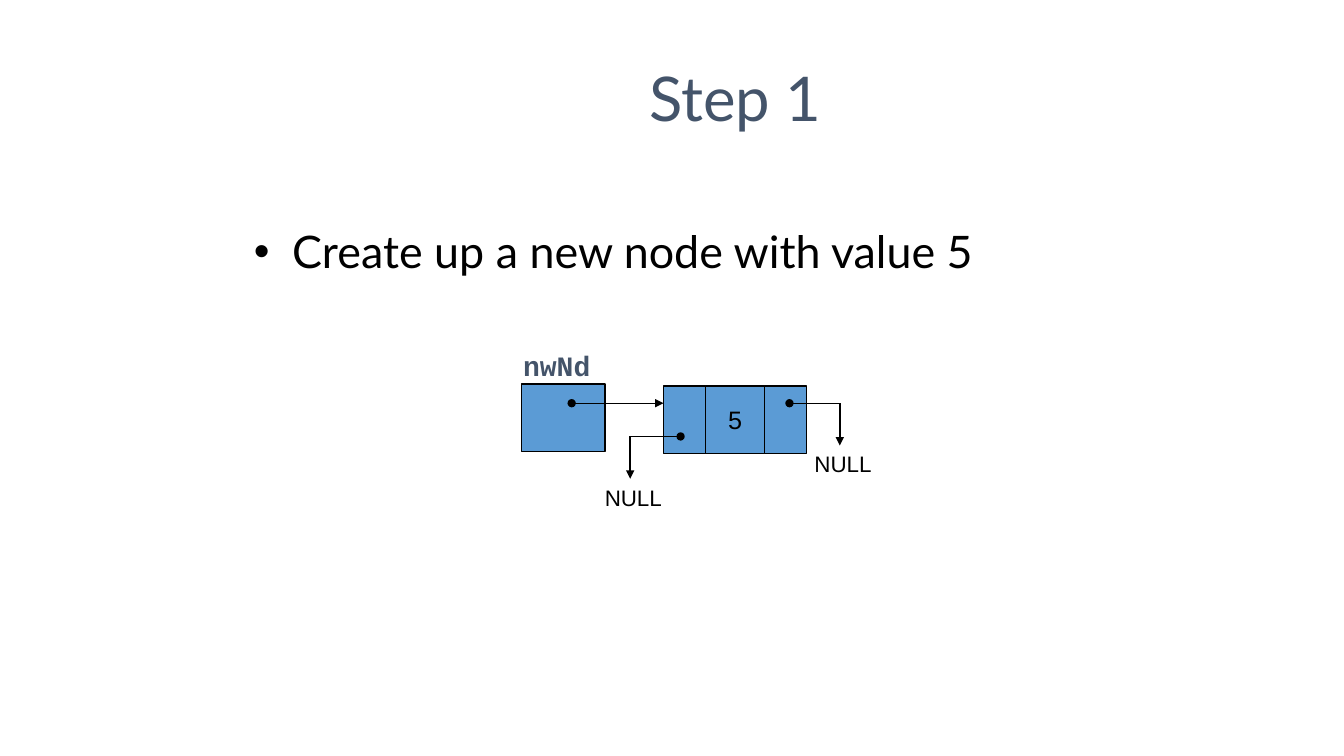
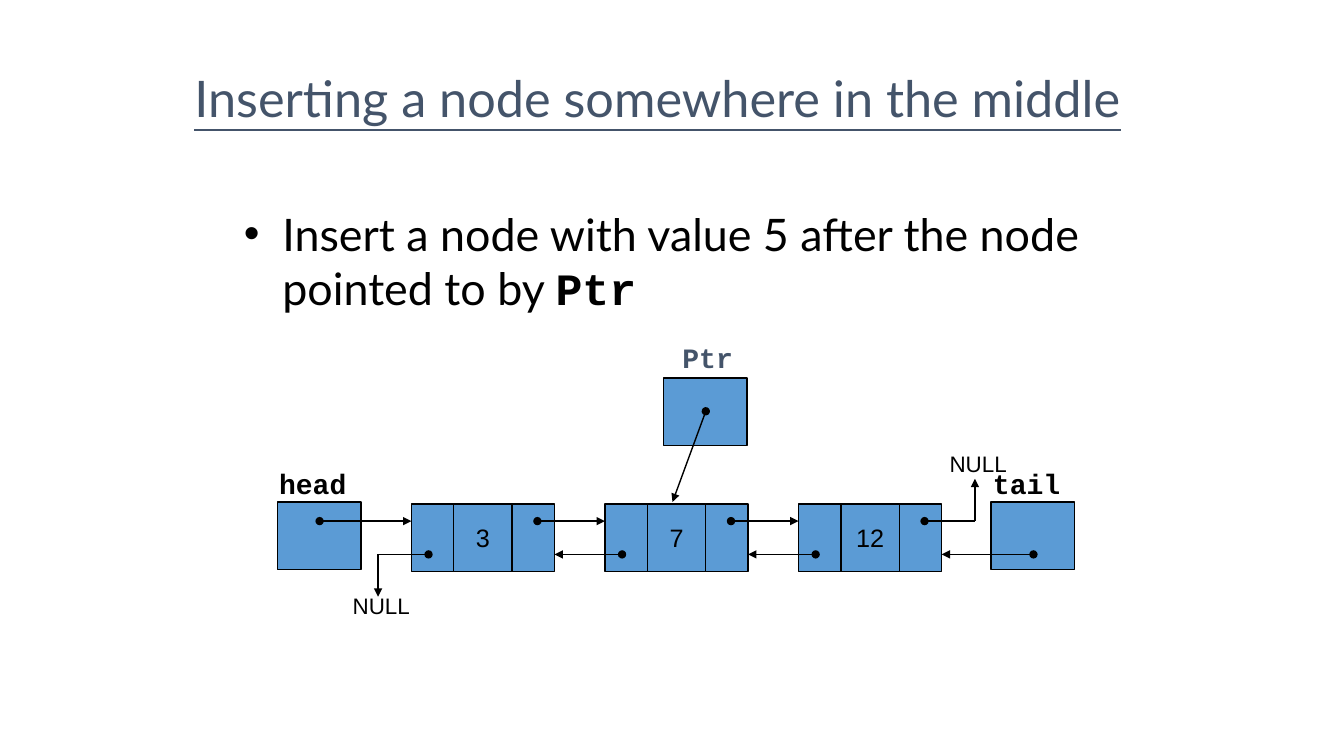
from dataclasses import dataclass
from typing import Any

from lxml.etree import SubElement
from pptx import Presentation
from pptx.dml.color import RGBColor
from pptx.enum.shapes import MSO_CONNECTOR, MSO_SHAPE
from pptx.enum.text import MSO_ANCHOR, PP_ALIGN
from pptx.oxml.ns import qn
from pptx.util import Inches, Pt

COLORS = {"heading": "44546A", "ink": "000000", "cell": "5B9BD5", "page": "FFFFFF"}
FONTS: dict[str, dict[str, Any]] = {
    "title": {"name": "Lato", "size": Pt(44)},
    "long_title": {"name": "Lato", "size": Pt(36), "underline": True},
    "body": {"name": "Lato", "size": Pt(32)},
    "code": {"name": "Courier New", "size": Pt(32), "bold": True},
    "label": {"name": "Courier New", "size": Pt(20), "bold": True},
    "value": {"name": "Arial", "size": Pt(18)},
    "null": {"name": "Arial", "size": Pt(16)},
}
CELL_WIDTHS = (0.42, 0.58, 0.42)
NODE_WIDTH = sum(CELL_WIDTHS)
NODE_PITCH = 1.92
BOX_WIDTH, BOX_HEIGHT = 0.83, 0.67
NEXT_ROW, PREV_ROW = 0.17, 0.5
PREV_DOT, NEXT_DOT = 0.17, 1.25
ELBOW_GAP = 0.33
ELBOW_DROP = 0.42


@dataclass(frozen=True)
class Run:
    text: str
    style: str
    color: str = "ink"


@dataclass(frozen=True)
class Area:
    left: float
    top: float
    width: float
    height: float


@dataclass(frozen=True)
class Pointer:
    name: str
    left: float
    top: float
    color: str = "ink"
    label_dx: float = -0.08
    label_dy: float = -0.4


@dataclass(frozen=True)
class Node:
    value: str
    left: float
    top: float

    @property
    def right(self) -> float:
        return self.left + NODE_WIDTH


def rgb(color: str) -> RGBColor:
    return RGBColor.from_string(COLORS[color])


def add_run(paragraph, run: Run) -> None:
    piece = paragraph.add_run()
    piece.text = run.text
    for attribute, setting in FONTS[run.style].items():
        setattr(piece.font, attribute, setting)
    piece.font.color.rgb = rgb(run.color)


def add_text(slide, area: Area, runs: list[Run], align=PP_ALIGN.LEFT,
             anchor=MSO_ANCHOR.TOP, side_inset: float = 0.1):
    frame = slide.shapes.add_textbox(
        Inches(area.left), Inches(area.top), Inches(area.width), Inches(area.height)
    ).text_frame
    layout = {"word_wrap": True, "vertical_anchor": anchor,
              "margin_left": Inches(side_inset), "margin_right": Inches(side_inset),
              "margin_top": Inches(0.05), "margin_bottom": Inches(0.05)}
    for attribute, setting in layout.items():
        setattr(frame, attribute, setting)
    paragraph = frame.paragraphs[0]
    paragraph.alignment = align
    for run in runs:
        add_run(paragraph, run)
    return paragraph


def add_bullet(slide, area: Area, runs: list[Run], side_inset: float = 0.1) -> None:
    paragraph = add_text(slide, area, runs, side_inset=side_inset)
    properties = paragraph._p.get_or_add_pPr()
    properties.set("marL", str(Inches(0.38)))
    properties.set("indent", str(Inches(-0.38)))
    SubElement(properties, qn("a:buFont"), typeface="Arial")
    SubElement(properties, qn("a:buChar"), char="•")


def add_box(slide, area: Area, value: str = "") -> None:
    box = slide.shapes.add_shape(
        MSO_SHAPE.RECTANGLE,
        Inches(area.left), Inches(area.top), Inches(area.width), Inches(area.height))
    box.shadow.inherit = False
    box.fill.solid()
    box.fill.fore_color.rgb = rgb("cell")
    box.line.color.rgb = rgb("ink")
    box.line.width = Pt(1)
    if value:
        box.text_frame.word_wrap = False
        box.text_frame.vertical_anchor = MSO_ANCHOR.MIDDLE
        paragraph = box.text_frame.paragraphs[0]
        paragraph.alignment = PP_ALIGN.CENTER
        add_run(paragraph, Run(value, "value"))


def add_link(slide, start: tuple[float, float], end: tuple[float, float],
             dot: bool = True, arrow: bool = True) -> None:
    link = slide.shapes.add_connector(
        MSO_CONNECTOR.STRAIGHT, *(Inches(number) for number in (*start, *end)))
    link.line.color.rgb = rgb("ink")
    link.line.width = Pt(1)
    outline = link.line._get_or_add_ln()
    if dot:
        SubElement(outline, qn("a:headEnd"), type="oval")
    if arrow:
        SubElement(outline, qn("a:tailEnd"), type="triangle")
    SubElement(link._element.spPr, qn("a:effectLst"))


def add_pointer(slide, pointer: Pointer) -> None:
    add_box(slide, Area(pointer.left, pointer.top, BOX_WIDTH, BOX_HEIGHT))
    add_text(slide, Area(pointer.left + pointer.label_dx,
                         pointer.top + pointer.label_dy, 1.17, 0.43),
             [Run(pointer.name, "label", pointer.color)])


def add_node(slide, node: Node) -> None:
    left = node.left
    for width, value in zip(CELL_WIDTHS, ("", node.value, "")):
        add_box(slide, Area(left, node.top, width, BOX_HEIGHT), value)
        left += width


def add_null(slide, dot: tuple[float, float], elbow: float, rise: float,
             label_top: float) -> None:
    corner = (elbow, dot[1])
    add_link(slide, dot, corner, arrow=False)
    add_link(slide, corner, (elbow, dot[1] + rise), dot=False)
    add_text(slide, Area(elbow - 0.35, label_top, 0.8, 0.37), [Run("NULL", "null")])


def add_list(slide, nodes: list[Node], next_rise: float,
             prev_label_top: float, next_label_top: float) -> None:
    for node in nodes:
        add_node(slide, node)
    first, last = nodes[0], nodes[-1]
    next_y, prev_y = first.top + NEXT_ROW, first.top + PREV_ROW
    for node, following in zip(nodes, nodes[1:]):
        add_link(slide, (node.left + NEXT_DOT, next_y), (following.left, next_y))
        add_link(slide, (following.left + PREV_DOT, prev_y), (node.right, prev_y))
    add_null(slide, (first.left + PREV_DOT, prev_y), first.left - ELBOW_GAP,
             ELBOW_DROP, prev_label_top)
    add_null(slide, (last.left + NEXT_DOT, next_y), last.right + ELBOW_GAP,
             next_rise, next_label_top)


def new_slide(deck, title: Run, title_area: Area, align=PP_ALIGN.LEFT):
    slide = deck.slides.add_slide(deck.slide_layouts[6])
    slide.background.fill.solid()
    slide.background.fill.fore_color.rgb = rgb("page")
    add_text(slide, title_area, [title], align, MSO_ANCHOR.MIDDLE)
    return slide


def build_step(deck) -> None:
    slide = new_slide(deck, Run("Step 1", "title", "heading"),
                      Area(3.67, 0.35, 7.25, 1.23), PP_ALIGN.CENTER)
    add_bullet(slide, Area(2.42, 2.17, 8.5, 0.83),
               [Run("Create up a new node with value 5", "body")])
    add_pointer(slide, Pointer("nwNd", 5.17, 3.81, "heading"))
    node = Node("5", 6.58, 3.83)
    add_list(slide, [node], ELBOW_DROP, 4.75, 4.42)
    row = node.top + NEXT_ROW
    add_link(slide, (5.67, row), (node.left, row))


def build_insertion(deck) -> None:
    slide = new_slide(
        deck, Run("Inserting a node somewhere in the middle", "long_title", "heading"),
        Area(1.83, 0.35, 9.83, 1.23))
    add_bullet(slide, Area(2.42, 2, 8.5, 1.17),
               [Run("Insert a node with value 5 after the node pointed to by ", "body"),
                Run("Ptr", "code")], side_inset=0)
    nodes = [Node(value, 4.08 + index * NODE_PITCH, 5)
             for index, value in enumerate(("3", "7", "12"))]
    for pointer in (Pointer("head", 2.75, 4.98), Pointer("tail", 9.83, 4.98),
                    Pointer("Ptr", 6.58, 3.75, "heading", 0.09, -0.42)):
        add_pointer(slide, pointer)
    add_list(slide, nodes, -ELBOW_DROP, 5.83, 4.42)
    first, last = nodes[0], nodes[-1]
    next_y, prev_y = first.top + NEXT_ROW, first.top + PREV_ROW
    add_link(slide, (3.17, next_y), (first.left, next_y))
    add_link(slide, (10.25, prev_y), (last.right, prev_y))
    add_link(slide, (7, 4.08), (6.67, 4.98))


def main() -> None:
    deck = Presentation()
    deck.slide_width, deck.slide_height = Inches(13.33), Inches(7.5)
    build_step(deck)
    build_insertion(deck)
    deck.save("out.pptx")


if __name__ == "__main__":
    main()
